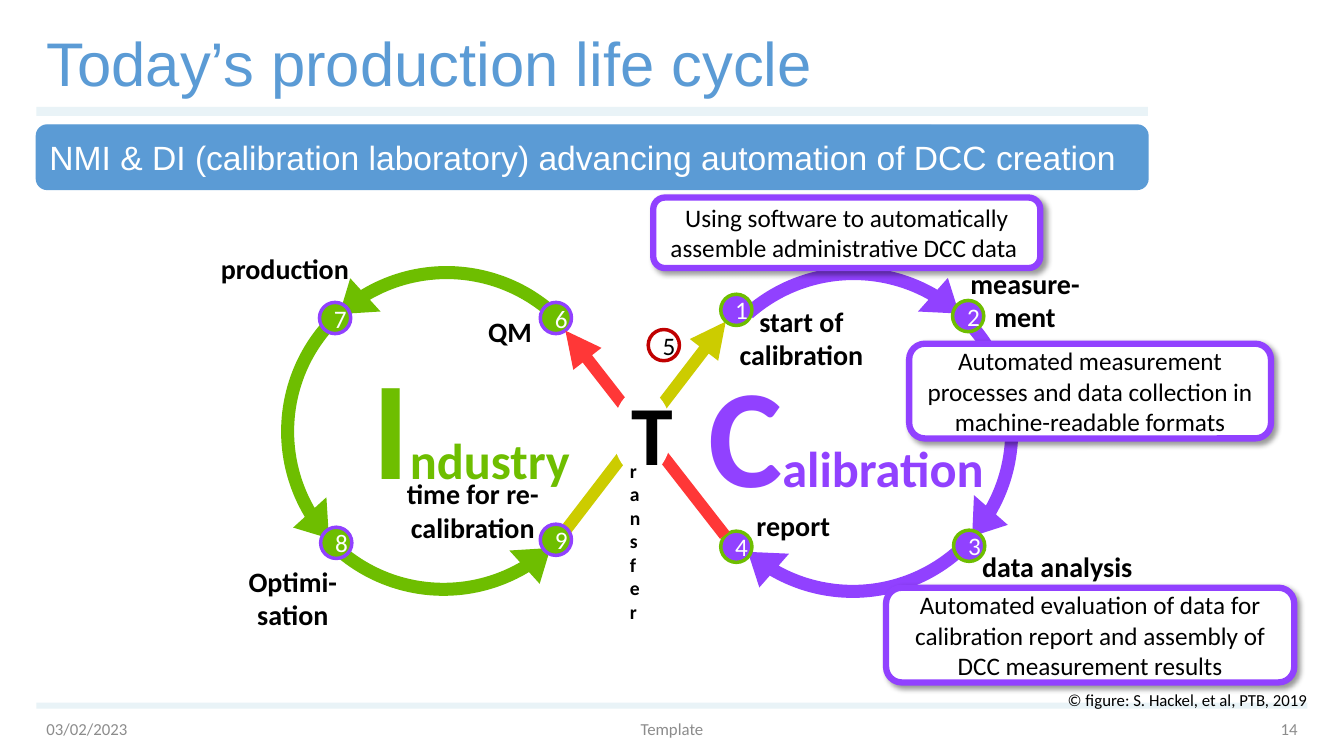
"""Build the slide about today's production life cycle."""
from dataclasses import dataclass

from lxml import etree
from pptx import Presentation
from pptx.dml.color import RGBColor
from pptx.enum.shapes import MSO_CONNECTOR, MSO_SHAPE
from pptx.enum.text import MSO_ANCHOR, MSO_AUTO_SIZE, PP_ALIGN
from pptx.oxml.ns import qn
from pptx.shapes.autoshape import Shape
from pptx.slide import Slide
from pptx.text.text import TextFrame
from pptx.util import Pt

LEFT, CENTER, RIGHT = PP_ALIGN.LEFT, PP_ALIGN.CENTER, PP_ALIGN.RIGHT
TOP, MIDDLE = MSO_ANCHOR.TOP, MSO_ANCHOR.MIDDLE
FIXED, GROW = MSO_AUTO_SIZE.NONE, MSO_AUTO_SIZE.SHAPE_TO_FIT_TEXT
RECTANGLE, ROUNDED = MSO_SHAPE.RECTANGLE, MSO_SHAPE.ROUNDED_RECTANGLE
OVAL, ARC_ARROW = MSO_SHAPE.OVAL, MSO_SHAPE.CIRCULAR_ARROW
STRAIGHT = MSO_CONNECTOR.STRAIGHT


@dataclass(frozen=True)
class Theme:
    heading_font: str = "Arial"
    body_font: str = "Calibri"
    blue: str = "5B9BD5"
    pale: str = "E9F3F7"
    grey: str = "8C8C8C"
    green: str = "6EBE00"
    purple: str = "9141FF"
    yellow: str = "CCCC00"
    red: str = "FF3737"
    dark_red: str = "C00000"
    black: str = "000000"
    white: str = "FFFFFF"
    title: float = 44
    banner: float = 24
    initial: float = 100
    word: float = 36
    hub: float = 60
    label: float = 20
    note: float = 18
    spine: float = 14
    small: float = 12


THEME = Theme()


@dataclass(frozen=True)
class Area:
    left: float
    top: float
    width: float
    height: float

    def lengths(self) -> tuple[Pt, Pt, Pt, Pt]:
        return Pt(self.left), Pt(self.top), Pt(self.width), Pt(self.height)


@dataclass(frozen=True)
class Span:
    text: str
    size: float
    color: str
    bold: bool = False
    font: str = THEME.body_font


@dataclass(frozen=True)
class Arc:
    left: float
    top: float
    rotation: float
    color: str
    mirrored: bool = False


@dataclass(frozen=True)
class Station:
    number: str
    left: float
    top: float
    fill: str
    ring: str
    label: Area | None = None
    lines: tuple[str, ...] = ()
    ink: str = THEME.white


@dataclass(frozen=True)
class Arrow:
    start: tuple[float, float]
    end: tuple[float, float]
    color: str


@dataclass(frozen=True)
class Note:
    area: Area
    text: str


ARC_SIZE, DISC_SIZE = 259.2, 22.3
ARC_ADJUSTMENTS = (0.036, 6.994, 209.179, 166.38, 0.062)
ARCS = (
    Arc(189.4, 178.6, 47.9, THEME.green, True),
    Arc(480.2, 179.3, 311.3, THEME.purple),
    Arc(479.5, 178.6, 41, THEME.purple),
    Arc(479.5, 179.3, 131, THEME.purple),
    Arc(189.4, 178.6, 318, THEME.green, True),
    Arc(187.2, 177.8, 228, THEME.green, True),
)
TO_CALIBRATION = Arrow((404.6, 378), (518.4, 229.7), THEME.yellow)
TO_INDUSTRY = Arrow((517.7, 382.3), (403.9, 236.2), THEME.red)
INDUSTRY, CALIBRATION = (THEME.green, THEME.purple), (THEME.purple, THEME.green)
OUTER_STATIONS = (
    Station("1", 514.8, 210.2, *CALIBRATION, Area(520.6, 213.8, 103.7, 55.4), ("start of", "calibration")),
    Station("2", 680.4, 214.6, *CALIBRATION, Area(685.4, 186.5, 93.6, 55.4), ("measure-", "ment")),
    Station("3", 681.1, 378.7, *CALIBRATION, Area(694.1, 388.8, 122.4, 31.7), ("data analysis",)),
    Station("4", 514.8, 379.4, *CALIBRATION, Area(532.8, 360, 67.7, 31.7), ("report",)),
    Station("6", 385.9, 216, *INDUSTRY, Area(341.3, 221, 46.1, 31.7), ("QM",)),
    Station("7", 228.2, 216, *INDUSTRY, Area(149.8, 176.4, 107.3, 31.7), ("production",)),
    Station("8", 229, 376.6, *INDUSTRY, Area(169.9, 399.6, 78.5, 55.4), ("Optimi-", "sation")),
)
TRANSFER_STATION = Station("5", 463, 235.4, THEME.white, THEME.dark_red, ink=THEME.black)
RECALIBRATION = Station("9", 385.9, 374.4, *INDUSTRY, Area(283, 337, 109.4, 55.4), ("time for re-", "calibration"))
NOTES = (
    Note(Area(466.6, 141.1, 276.5, 50.4), "Using software to automatically assemble administrative DCC data "),
    Note(Area(649.4, 245.5, 258.5, 67.7),
         "Automated measurement processes and data collection in machine-readable formats"),
    Note(Area(632.9, 419.8, 291.6, 67.7),
         "Automated evaluation of data for calibration report and assembly of DCC measurement results"),
)
FOOTERS = (
    (Area(26, 510, 207, 19.5), "03/02/2023", LEFT),
    (Area(284, 510, 392, 19.5), "Template", CENTER),
    (Area(757, 510, 177, 19.5), "14", RIGHT),
)


def write(frame: TextFrame, paragraphs: list[list[Span]], align: PP_ALIGN, anchor: MSO_ANCHOR = MIDDLE) -> None:
    frame.vertical_anchor = anchor
    for index, spans in enumerate(paragraphs):
        para = frame.paragraphs[0] if index == 0 else frame.add_paragraph()
        para.alignment = align
        for span in spans:
            run = para.add_run()
            run.text = span.text
            run.font.size, run.font.bold, run.font.name = Pt(span.size), span.bold, span.font
            run.font.color.rgb = RGBColor.from_string(span.color)


def add_box(page: Slide, kind: MSO_SHAPE, area: Area, fill: str, outline: str = "", weight: float = 0) -> Shape:
    box = page.shapes.add_shape(kind, *area.lengths())
    box.shadow.inherit = False
    box.fill.solid()
    box.fill.fore_color.rgb = RGBColor.from_string(fill)
    if outline:
        box.line.color.rgb = RGBColor.from_string(outline)
        box.line.width = Pt(weight)
    else:
        box.line.fill.background()
    return box


def add_text(page: Slide, area: Area, paragraphs: list[list[Span]], align: PP_ALIGN,
             wrap: bool = True, size: MSO_AUTO_SIZE = GROW) -> Shape:
    box = page.shapes.add_textbox(*area.lengths())
    box.text_frame.word_wrap = wrap
    box.text_frame.auto_size = size
    write(box.text_frame, paragraphs, align, TOP)
    return box


def add_arc(page: Slide, arc: Arc) -> None:
    box = add_box(page, ARC_ARROW, Area(arc.left, arc.top, ARC_SIZE, ARC_SIZE), arc.color)
    for index, value in enumerate(ARC_ADJUSTMENTS):
        box.adjustments[index] = value
    box.rotation = arc.rotation
    if arc.mirrored:
        box.element.spPr.find(qn("a:xfrm")).set("flipH", "1")


def add_arrow(page: Slide, arrow: Arrow) -> None:
    line = page.shapes.add_connector(STRAIGHT, *map(Pt, arrow.start + arrow.end))
    line.line.color.rgb = RGBColor.from_string(arrow.color)
    line.line.width = Pt(8.5)
    properties = line.element.spPr
    etree.SubElement(properties.find(qn("a:ln")), qn("a:tailEnd"), type="triangle")
    etree.SubElement(properties, qn("a:effectLst"))


def add_station(page: Slide, station: Station) -> None:
    area = Area(station.left, station.top, DISC_SIZE, DISC_SIZE)
    disc = add_box(page, OVAL, area, station.fill, station.ring, 2.5)
    write(disc.text_frame, [[Span(station.number, THEME.note, station.ink)]], CENTER)
    if station.label:
        lines = [[Span(text, THEME.label, THEME.black, True)] for text in station.lines]
        add_text(page, station.label, lines, CENTER, wrap=False)


def add_name(page: Slide, area: Area, initial: str, rest: str, color: str) -> None:
    spans = [Span(initial, THEME.initial, color, True), Span(rest, THEME.word, color, True)]
    add_text(page, area, [spans], CENTER)


def add_note(page: Slide, note: Note) -> None:
    box = add_box(page, ROUNDED, note.area, THEME.white, THEME.purple, 4.5)
    write(box.text_frame, [[Span(note.text, THEME.note, THEME.black)]], CENTER)
    shadow = etree.SubElement(box.element.spPr.find(qn("a:effectLst")), qn("a:outerShdw"),
                              blurRad=str(Pt(4)), dist=str(Pt(3)), dir="2700000", algn="tl", rotWithShape="0")
    color = etree.SubElement(shadow, qn("a:srgbClr"), val=THEME.black)
    etree.SubElement(color, qn("a:alpha"), val="40000")


def add_transfer(page: Slide) -> None:
    hub = add_box(page, OVAL, Area(437.8, 277.9, 41.8, 61.9), THEME.white)
    write(hub.text_frame, [[Span("T", THEME.hub, THEME.black, True)]], CENTER)
    spine = add_text(page, Area(442.8, 324, 34.6, 126),
                     [[Span("ransfer", THEME.spine, THEME.black, True)]], LEFT, wrap=False)
    spine.element.txBody.find(qn("a:bodyPr")).set("vert", "wordArtVert")
    spine.text_frame.paragraphs[0].runs[0].font._element.set("spc", "-300")


def add_frame(page: Slide) -> None:
    for bar in (Area(26, 76.3, 794, 6.5), Area(26, 502, 908, 4.3)):
        add_box(page, RECTANGLE, bar, THEME.pale)
    title = page.shapes.title
    title.left, title.top, title.width, title.height = Area(26, 11, 794, 73).lengths()
    title.text_frame.auto_size = FIXED
    heading = Span("Today’s production life cycle", THEME.title, THEME.blue, font=THEME.heading_font)
    write(title.text_frame, [[heading]], LEFT)
    title.text_frame.paragraphs[0].line_spacing = 0.9
    for area, text, align in FOOTERS:
        add_text(page, area, [[Span(text, THEME.small, THEME.grey)]], align, size=FIXED)


def main() -> None:
    deck = Presentation()
    deck.slide_width, deck.slide_height = Pt(960), Pt(540)
    page = deck.slides.add_slide(deck.slide_layouts[5])
    add_frame(page)
    for arc in ARCS:
        add_arc(page, arc)
    add_arrow(page, TO_CALIBRATION)
    add_name(page, Area(494.6, 244.8, 219.6, 128.2), "C", "alibration", THEME.purple)
    for station in OUTER_STATIONS:
        add_station(page, station)
    add_arrow(page, TO_INDUSTRY)
    add_station(page, TRANSFER_STATION)
    add_transfer(page)
    add_station(page, RECALIBRATION)
    add_name(page, Area(255.6, 239, 162, 128.2), "I", "ndustry", THEME.green)
    credit = Span("© figure: S. Hackel, et al, PTB, 2019", THEME.small, THEME.black)
    add_text(page, Area(703.4, 488.9, 237.6, 21.6), [[credit]], RIGHT)
    banner = add_box(page, ROUNDED, Area(26, 89.3, 794, 46), THEME.blue, THEME.blue, 1)
    message = "NMI & DI (calibration laboratory) advancing automation of DCC creation"
    write(banner.text_frame, [[Span(message, THEME.banner, THEME.white, font=THEME.heading_font)]], LEFT)
    for note in NOTES:
        add_note(page, note)
    deck.save("out.pptx")


if __name__ == "__main__":
    main()
